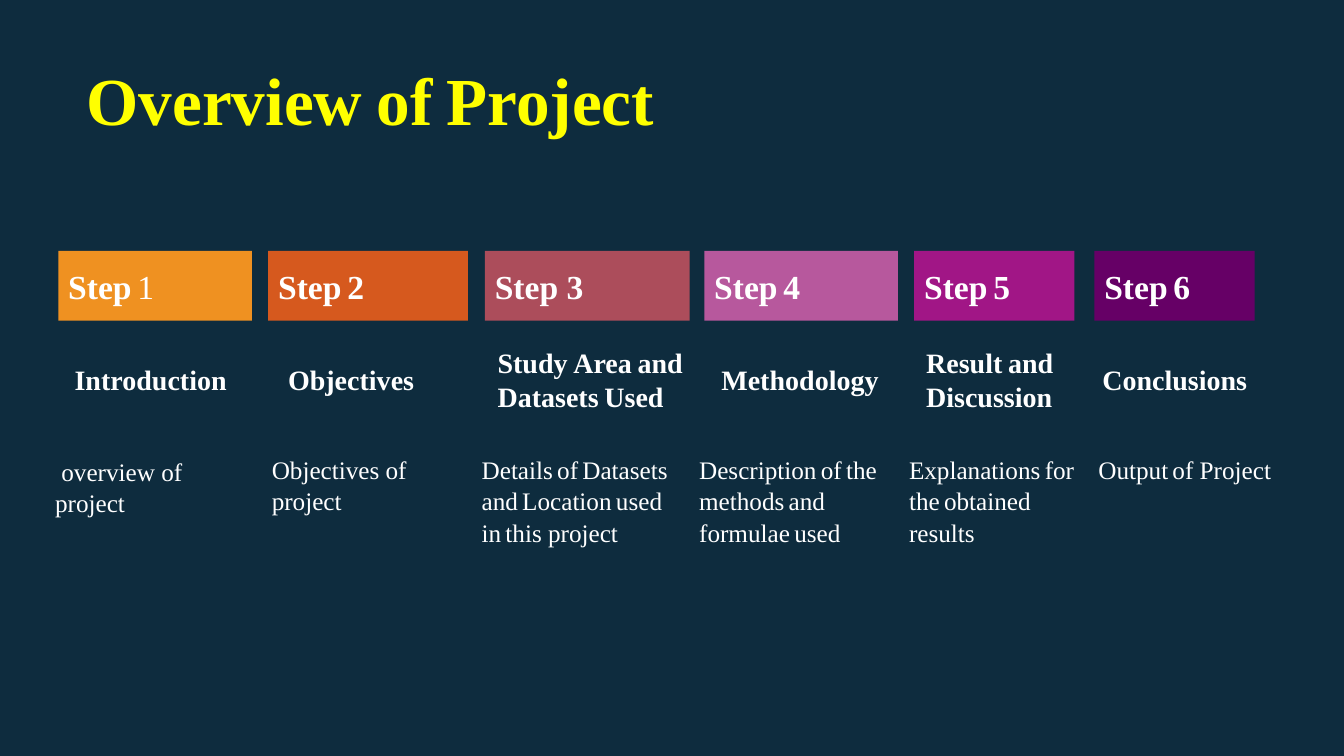
"""Build the project overview slide with six coloured steps."""
import dataclasses

import pptx
import pptx.dml.color
import pptx.enum.shapes
import pptx.enum.text
import pptx.util

Cm = pptx.util.Cm
Anchor = pptx.enum.text.MSO_ANCHOR


@dataclasses.dataclass(frozen=True)
class Theme:
    background: str = "0E2C3E"
    title_color: str = "FFFF00"
    text_color: str = "FFFFFF"
    step_colors: tuple = ("EF9121", "D6591E", "AC4D5B", "B7589D", "A11686", "660066")
    font: str = "Times New Roman"
    title_size: int = 48
    step_size: int = 24
    heading_size: int = 20
    detail_size: int = 18
    title_gap: tuple = ("Times New Roman", 40)
    step_gap: tuple = ("Calibri", 18)
    heading_gap: tuple = ("Roboto", 16)
    detail_gap: tuple = ("Roboto", 12)


theme = Theme()


def rgb(code):
    return pptx.dml.color.RGBColor.from_string(code)


def write(text, *, shape, size, gap, color=theme.text_color, bold=True,
          last_bold=None, anchor=Anchor.MIDDLE, spacing=1.0, inset=0.25):
    """Fill a shape with text; each underscore becomes a space in the gap font."""
    frame = shape.text_frame
    frame.word_wrap = True
    frame.auto_size = pptx.enum.text.MSO_AUTO_SIZE.NONE
    frame.vertical_anchor = anchor
    frame.margin_left = frame.margin_right = Cm(0.25)
    frame.margin_top = frame.margin_bottom = Cm(inset)
    paragraph = frame.paragraphs[0]
    paragraph.alignment = pptx.enum.text.PP_ALIGN.LEFT
    paragraph.line_spacing = spacing
    pieces = text.replace("_", "\n \n").split("\n")
    for piece in pieces:
        run = paragraph.add_run()
        run.text = piece
        name, points = gap if piece == " " else (theme.font, size)
        run.font.name = name
        run.font.size = pptx.util.Pt(points)
        run.font.bold = bold
        run.font.color.rgb = rgb(color)
    if last_bold is not None:
        run.font.bold = last_bold


presentation = pptx.Presentation()
presentation.slide_width = Cm(33.87)
presentation.slide_height = Cm(19.05)
slide = presentation.slides.add_slide(presentation.slide_layouts[5])
slide.background.fill.solid()
slide.background.fill.fore_color.rgb = rgb(theme.background)

title = slide.shapes.title
title.left, title.top, title.width, title.height = Cm(1.93), Cm(0.89), Cm(30.48), Cm(3.18)
write("Overview_of_Project", shape=title, size=theme.title_size,
      gap=theme.title_gap, color=theme.title_color, inset=0.13)

bars = [(1.47, 4.88), (6.76, 5.03), (12.22, 5.16), (17.75, 4.88), (23.04, 4.04), (27.58, 4.04)]
headings = [
    ("Introduction", 1.63, 4.7),
    ("Objectives", 7.01, 4.93),
    ("Study_Area_and_Datasets_Used", 12.29, 5.23),
    ("Methodology", 17.93, 4.6),
    ("Result_and_Discussion", 23.09, 4.06),
    ("Conclusions", 27.53, 4.22),
]
details = [
    (" overview of project", 1.14, 11.2, 5.51),
    ("Objectives of project", 6.6, 11.15, 5.51),
    ("Details_of_Datasets_and_Location_used_in_this project", 11.89, 11.15, 5.51),
    ("Description_of_the_methods_and_formulae_used", 17.37, 11.15, 5.51),
    ("Explanations_for_the_obtained_results", 22.66, 11.15, 4.93),
    ("Output_of Project", 27.43, 11.15, 5.51),
]

for number, ((left, width), color) in enumerate(zip(bars, theme.step_colors), start=1):
    bar = slide.shapes.add_shape(pptx.enum.shapes.MSO_SHAPE.RECTANGLE,
                                 Cm(left), Cm(6.32), Cm(width), Cm(1.76))
    bar.shadow.inherit = False
    bar.fill.solid()
    bar.fill.fore_color.rgb = rgb(color)
    bar.line.fill.background()
    label = "Step 3" if number == 3 else f"Step_{number}"
    write(label, shape=bar, size=theme.step_size, gap=theme.step_gap,
          last_bold=number > 1)

for text, left, width in headings:
    heading = slide.shapes.add_textbox(Cm(left), Cm(8.64), Cm(width), Cm(1.83))
    write(text, shape=heading, size=theme.heading_size, gap=theme.heading_gap)

for text, left, top, width in details:
    detail = slide.shapes.add_textbox(Cm(left), Cm(top), Cm(width), Cm(4.9))
    write(text, shape=detail, size=theme.detail_size, gap=theme.detail_gap,
          bold=False, anchor=Anchor.TOP, spacing=1.05)

presentation.save("out.pptx")
